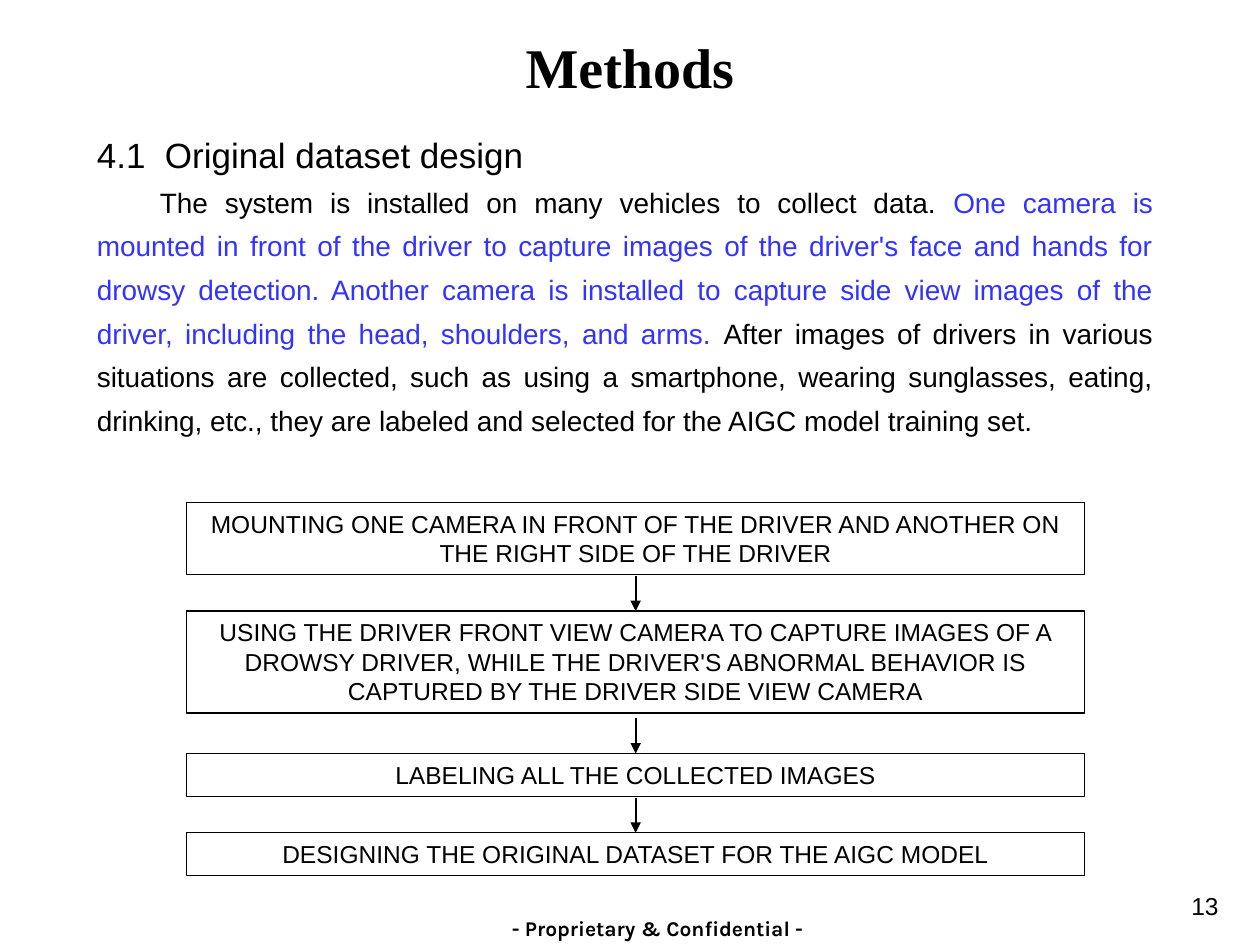
from lxml import etree
from pptx import Presentation
from pptx import util as u
from pptx.dml.color import RGBColor
from pptx.enum import shapes, text
from pptx.oxml.ns import qn

BLACK, BLUE = "000000", "3333FF"
HEADING = "4.1  Original dataset design"
BODY = [
    ("\tThe system is installed on many vehicles to collect data. ", BLACK),
    ("One camera is mounted in front of the driver to capture images of the driver's face and hands "
     "for drowsy detection. Another camera is installed to capture side view images of the driver, "
     "including the head, shoulders, and arms. ", BLUE),
    ("After images of drivers in various situations are collected, such as using a smartphone, "
     "wearing sunglasses, eating, drinking, etc., they are labeled and selected for the AIGC model "
     "training set.", BLACK),
]
STEPS = [
    ("MOUNTING ONE CAMERA IN FRONT OF THE DRIVER AND ANOTHER ON THE RIGHT SIDE OF THE DRIVER", 3.99, 0.57),
    ("USING THE DRIVER FRONT VIEW CAMERA TO CAPTURE IMAGES OF A DROWSY DRIVER, WHILE THE DRIVER'S "
     "ABNORMAL BEHAVIOR IS CAPTURED BY THE DRIVER SIDE VIEW CAMERA", 4.85, 0.81),
    ("LABELING ALL THE COLLECTED IMAGES", 5.98, 0.34),
    ("DESIGNING THE ORIGINAL DATASET FOR THE AIGC MODEL", 6.61, 0.34),
]
STEP_LEFT, STEP_WIDTH, ARROW_LENGTH = 1.48, 7.13, 0.28
LEFT, CENTER, RIGHT, JUSTIFY = (text.PP_ALIGN.LEFT, text.PP_ALIGN.CENTER,
                                text.PP_ALIGN.RIGHT, text.PP_ALIGN.JUSTIFY)


def color(value):
    return RGBColor.from_string(value)


def inches(*values):
    return [u.Inches(value) for value in values]


def write(paragraph, runs, size, align, font="Arial", bold=False, spacing=None):
    for words, shade in runs:
        run = paragraph.add_run()
        run.text = words
        run.font.color.rgb = color(shade)
    paragraph.font.size, paragraph.font.name, paragraph.font.bold = u.Pt(size), font, bold
    paragraph.alignment, paragraph.line_spacing = align, spacing


def add_text(slide, box, words, size, align, margin=None, anchor=text.MSO_ANCHOR.TOP, **style):
    frame = slide.shapes.add_textbox(*inches(*box)).text_frame
    frame.word_wrap, frame.vertical_anchor = True, anchor
    if margin is not None:
        frame.margin_left = frame.margin_right = frame.margin_top = frame.margin_bottom = margin
    write(frame.paragraphs[0], [(words, BLACK)], size, align, **style)
    return frame


def add_step(slide, words, top, height):
    shape = slide.shapes.add_shape(shapes.MSO_SHAPE.RECTANGLE,
                                   *inches(STEP_LEFT, top, STEP_WIDTH, height))
    shape.shadow.inherit = False
    shape.fill.background()
    shape.line.color.rgb, shape.line.width = color(BLACK), u.Pt(0.75)
    frame = shape.text_frame
    frame.word_wrap, frame.vertical_anchor = True, text.MSO_ANCHOR.TOP
    write(frame.paragraphs[0], [(words, BLACK)], 14, CENTER)


def add_arrow(slide, bottom):
    x = STEP_LEFT + STEP_WIDTH / 2
    arrow = slide.shapes.add_connector(shapes.MSO_CONNECTOR.STRAIGHT,
                                       *inches(x, bottom - ARROW_LENGTH, x, bottom))
    arrow.line.color.rgb, arrow.line.width = color(BLACK), u.Pt(1)
    etree.SubElement(arrow.line._get_or_add_ln(), qn("a:tailEnd"), type="triangle")
    etree.SubElement(arrow._element.spPr, qn("a:effectLst"))


def main():
    """Build the dataset design slide."""
    presentation = Presentation()
    presentation.slide_width, presentation.slide_height = inches(10, 7.5)
    slide = presentation.slides.add_slide(presentation.slide_layouts[6])
    add_text(slide, (7.44, 7.02, 2.33, 0.45), "13", 14, RIGHT)
    add_text(slide, (3.58, 7.27, 3.28, 0.2), "- Proprietary & Confidential -", 12, CENTER,
             margin=0, font="Karla", bold=True)
    frame = add_text(slide, (0.67, 0.84, 8.58, 2.94), HEADING, 20, LEFT, spacing=1.5)
    frame.paragraphs[0].space_before = u.Pt(4)
    write(frame.add_paragraph(), BODY, 16, JUSTIFY, spacing=1.3)
    add_text(slide, (0.75, 0.21, 8.5, 0.63), "Methods", 32, CENTER,
             anchor=text.MSO_ANCHOR.MIDDLE, font="Times New Roman", bold=True)
    for index, (words, top, height) in enumerate(STEPS):
        if index:
            add_arrow(slide, top)
        add_step(slide, words, top, height)
    presentation.save("out.pptx")


if __name__ == "__main__":
    main()
